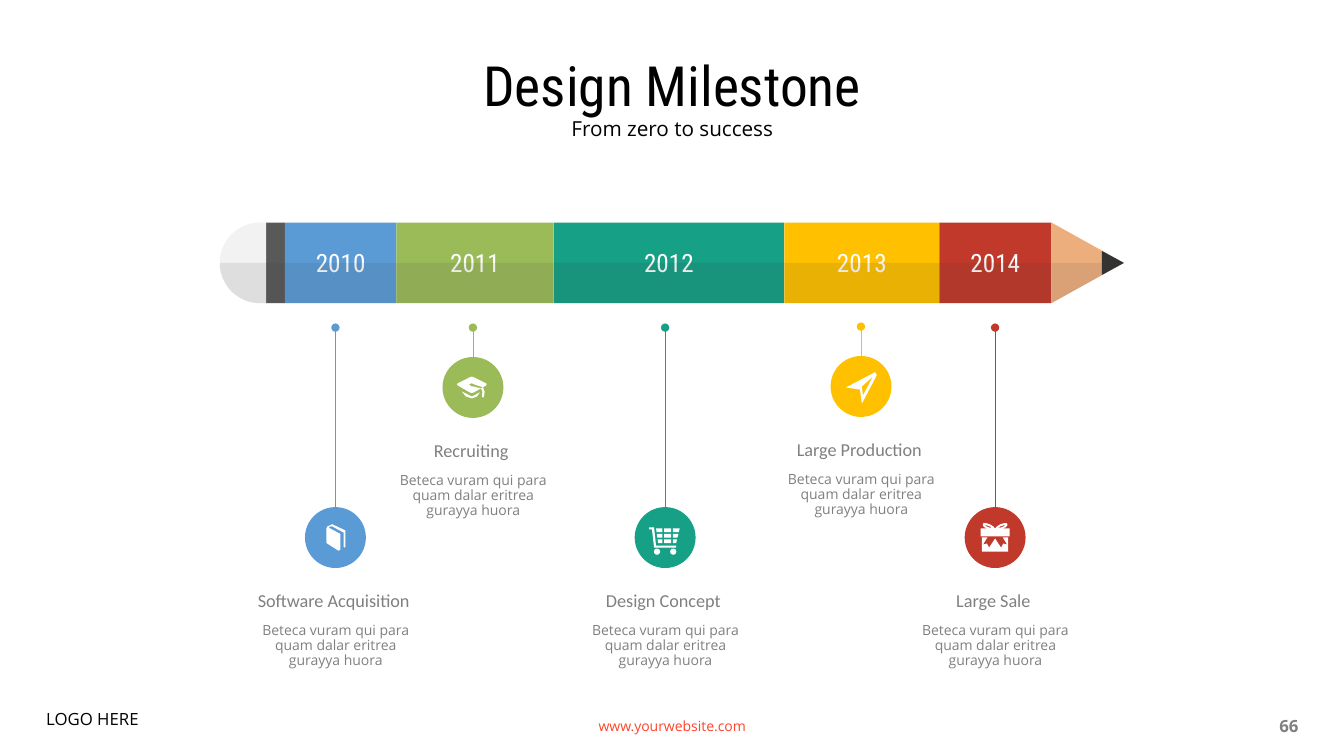
from math import cos, radians, sin

from lxml import etree
from pptx import Presentation
from pptx.dml.color import RGBColor
from pptx.enum.shapes import MSO_CONNECTOR, MSO_SHAPE
from pptx.enum.text import MSO_ANCHOR, PP_ALIGN
from pptx.oxml.ns import qn
from pptx.util import Pt

RECTANGLE, OVAL = MSO_SHAPE.RECTANGLE, MSO_SHAPE.OVAL
STRAIGHT = MSO_CONNECTOR.STRAIGHT
TOP, MIDDLE = MSO_ANCHOR.TOP, MSO_ANCHOR.MIDDLE
LEFT, CENTER, RIGHT = PP_ALIGN.LEFT, PP_ALIGN.CENTER, PP_ALIGN.RIGHT

BLACK = RGBColor(0x00, 0x00, 0x00)
WHITE = RGBColor(0xFF, 0xFF, 0xFF)
GRAY = RGBColor(0x80, 0x80, 0x80)
DARK = RGBColor(0x33, 0x33, 0x33)
COLLAR = RGBColor(0x59, 0x59, 0x59)
ERASER = RGBColor(0xF2, 0xF2, 0xF2)
WOOD = RGBColor(0xEC, 0xAE, 0x7D)
LINK = RGBColor(0xFF, 0x44, 0x29)
BLUE = RGBColor(0x5B, 0x9B, 0xD5)
GREEN = RGBColor(0x9B, 0xBB, 0x59)
TEAL = RGBColor(0x16, 0xA0, 0x85)
YELLOW = RGBColor(0xFF, 0xC0, 0x00)
RED = RGBColor(0xC0, 0x39, 0x2B)

HEADING, BODY, LABEL = "Roboto Condensed", "Open Sans", "Calibri"
SHADE = 10  # opacity in percent


def paint(shape, color, opacity=100):
    shape.shadow.inherit = False
    shape.fill.solid()
    shape.fill.fore_color.rgb = color
    shape.line.fill.background()
    if opacity < 100:
        tone = shape.element.spPr.find(".//" + qn("a:srgbClr"))
        etree.SubElement(tone, qn("a:alpha"), val=str(opacity * 1000))


def write(box, text, font, color, anchor=TOP, align=CENTER, spacing=1.0, inset=None):
    frame = box.text_frame
    frame.word_wrap = True
    frame.vertical_anchor = anchor
    if inset is not None:
        for side in ("left", "top", "right", "bottom"):
            setattr(frame, "margin_" + side, Pt(inset))
    para = frame.paragraphs[0]
    para.alignment = align
    para.line_spacing = spacing
    span = para.add_run()
    span.text = text
    for name, value in font.items():
        setattr(span.font, name, value)
    span.font.color.rgb = color


deck = Presentation()
deck.slide_width, deck.slide_height = Pt(960), Pt(540)
page = deck.slides.add_slide(deck.slide_layouts[6])
shapes = page.shapes

# Title, subtitle and footer
frame_texts = [
    ("Design Milestone", (66.2, 44.6, 828, 37.4), HEADING, 39.6, False, BLACK, MIDDLE, CENTER, 0.9),
    ("From zero to success", (66.2, 82.8, 828, 23), BODY, 14.8, False, BLACK, TOP, CENTER, 0.8),
    ("www.yourwebsite.com", (318.2, 504, 324, 28.8), BODY, 10, False, LINK, MIDDLE, CENTER, 1.0),
    ("66", (707.8, 504, 226.8, 28.8), BODY, 12, True, GRAY, MIDDLE, RIGHT, 1.0),
    ("LOGO HERE", (25.9, 504, 300, 31), BODY, 12, False, BLACK, TOP, LEFT, 0.9),
]
for text, place, face, size, bold, color, anchor, align, spacing in frame_texts:
    box = shapes.add_textbox(*map(Pt, place))
    font = {"name": face, "size": Pt(size), "bold": bold}
    write(box, text, font, color, anchor, align, spacing)

# Pencil body
BODY_TOP, HALF = 159, 28.8
BODY_MIDDLE = BODY_TOP + HALF
COLLAR_LEFT, BODY_LEFT, BODY_RIGHT = 190.1, 203.5, 751
collar = shapes.add_shape(RECTANGLE, Pt(COLLAR_LEFT), Pt(BODY_TOP),
                          Pt(BODY_LEFT - COLLAR_LEFT), Pt(2 * HALF))
paint(collar, COLLAR)

segments = [("2010", BLUE, 283.2), ("2011", GREEN, 395.4), ("2012", TEAL, 560.2),
            ("2013", YELLOW, 671), ("2014", RED, BODY_RIGHT)]
left = BODY_LEFT
for year, color, right in segments:
    segment = shapes.add_shape(RECTANGLE, Pt(left), Pt(BODY_TOP), Pt(right - left), Pt(2 * HALF))
    paint(segment, color)
    write(segment, year, {"name": HEADING, "size": Pt(18)}, WHITE, MIDDLE)
    shade = shapes.add_shape(RECTANGLE, Pt(left), Pt(BODY_MIDDLE), Pt(right - left), Pt(HALF))
    paint(shade, DARK, SHADE)
    left = right

# Milestones: badge, pin, heading and description
BADGE = 43.5
DESCRIPTION = "Beteca vuram qui para quam dalar eritrea gurayya huora"
milestones = [
    ("Software Acquisition", BLUE, 239.6, 362.2, 234),
    ("Recruiting", GREEN, 337.8, 255, 234),
    ("Design Concept", TEAL, 475.1, 362.2, 234),
    ("Large Production", YELLOW, 615, 254.3, 233.3),
    ("Large Sale", RED, 710.8, 362.2, 234),
]
centers = []
for heading, color, center, top, pin_top in milestones:
    badge = shapes.add_shape(OVAL, Pt(center - BADGE / 2), Pt(top), Pt(BADGE), Pt(BADGE))
    paint(badge, color)
    centers.append((center, top + BADGE / 2))

    pin = shapes.add_connector(STRAIGHT, Pt(center), Pt(top), Pt(center), Pt(pin_top))
    pin.begin_connect(badge, 0)
    pin.line.color.rgb = color
    pin.line.width = Pt(0.5)
    etree.SubElement(pin.line._get_or_add_ln(), qn("a:tailEnd"), type="oval")
    etree.SubElement(pin.element.spPr, qn("a:effectLst"))

    for text, shift, drop, height, face, size in [
        (heading, -62, 60.5, 18, LABEL, 13),
        (DESCRIPTION, -60.5, 82.9, 41.8, BODY, 10),
    ]:
        box = shapes.add_textbox(Pt(center + shift), Pt(top + drop), Pt(121.4), Pt(height))
        write(box, text, {"name": face, "size": Pt(size)}, GRAY, spacing=0.9, inset=0)

book_at, cap_at, cart_at, plane_at, gift_at = centers

# Cart wheels
for shift in (-5.8, 5.8):
    wheel = shapes.add_shape(OVAL, Pt(cart_at[0] + shift - 2.2), Pt(cart_at[1] + 7.9),
                             Pt(4.4), Pt(4.4))
    paint(wheel, WHITE)

# Outlines, in tenths of a point around their origin
arc = [(288 * cos(radians(a)), 288 * sin(radians(a))) for a in range(90, 271, 5)]
eraser = [arc + [(43, -288), (43, 288)]]
eraser_shade = [arc[:19] + [(177, 0), (177, 288)]]
wood = [[(0, -288), (518, 0), (0, 288)]]
lead = [[(518, 0), (360, 86), (360, -86)]]
wood_shade = [[(0, 0), (518, 0), (0, 288)]]

book = [[(72, -50), (-22, -95), (-58, -79), (-65, -65), (-65, 36), (-58, 43), (22, 94),
         (36, 86), (36, -22), (29, -29), (-50, -72), (-36, -79), (-22, -79), (58, -36),
         (58, 65), (65, 72), (72, 65)]]
cap = [
    [(58, 7), (68, 30), (65, 65), (72, 74), (79, 68), (84, 30), (72, 0)],
    [(94, -29), (7, -72), (-7, -77), (-22, -72), (-108, -29), (-113, -22), (-108, -14),
     (-22, 36), (-7, 41), (7, 36), (58, 7), (0, -7), (-7, -6), (-29, -20), (-7, -30),
     (7, -22), (72, 0), (94, -14), (99, -22)],
    [(-79, 29), (-50, 65), (-7, 79), (29, 65), (50, 36), (-7, 65)],
]
plane = [
    [(86, -72), (14, 65), (7, 0)],
    [(108, -94), (97, -101), (72, -86), (-108, 7), (-7, 22), (7, 122), (101, -58), (112, -79)],
]
cart = [[(-79, -72), (-115, -72), (-115, -58), (-94, -58), (-79, 72), (79, 72), (79, 58),
         (-65, 58)]]
for top in (-65, -26, 13):
    bottom = top + 27
    (left_top, right_top), (left_low, right_low) = [
        (-65 + 0.14 * (y + 65), 104 - 0.24 * (y + 65)) for y in (top, bottom)]
    cart += [
        [(left_top, top), (-19, top), (-19, bottom), (left_low, bottom)],
        [(-7, top), (43, top), (43, bottom), (-7, bottom)],
        [(56, top), (right_top, top), (right_low, bottom), (56, bottom)],
    ]
gift_box = [(94, 0), (55, 0), (86, 50), (58, 43), (43, 72), (0, 7), (-43, 72), (-58, 43),
            (-86, 50), (-55, 0), (-94, 0), (-94, 101), (94, 101)]
half_lid = [(104, -8), (104, -65), (52, -65), (75, -72), (88, -86), (86, -101), (72, -104),
            (58, -101), (36, -94), (14, -80), (0, -65)]
loop = [(36, -79), (62, -88), (74, -86), (60, -79), (43, -72), (22, -66)]
gift = [gift_box, half_lid + [(-x, y) for x, y in reversed(half_lid)],
        loop, [(-x, y) for x, y in loop]]

eraser_at, tip_at = (185.8, BODY_MIDDLE), (BODY_RIGHT, BODY_MIDDLE)
outlines = [
    (eraser, eraser_at, ERASER, 100), (eraser_shade, eraser_at, DARK, SHADE),
    (wood, tip_at, WOOD, 100), (lead, tip_at, DARK, 100), (wood_shade, tip_at, DARK, SHADE),
    (book, book_at, WHITE, 100), (cap, cap_at, WHITE, 100), (cart, cart_at, WHITE, 100),
    (plane, plane_at, WHITE, 100), (gift, gift_at, WHITE, 100),
]
for contours, (x, y), color, opacity in outlines:
    builder = shapes.build_freeform(*contours[0][0], scale=Pt(1) / 10)
    for index, points in enumerate(contours):
        if index:
            builder.move_to(*points[0])
        builder.add_line_segments(points[1:], close=True)
    paint(builder.convert_to_shape(Pt(x), Pt(y)), color, opacity)

deck.save("out.pptx")
